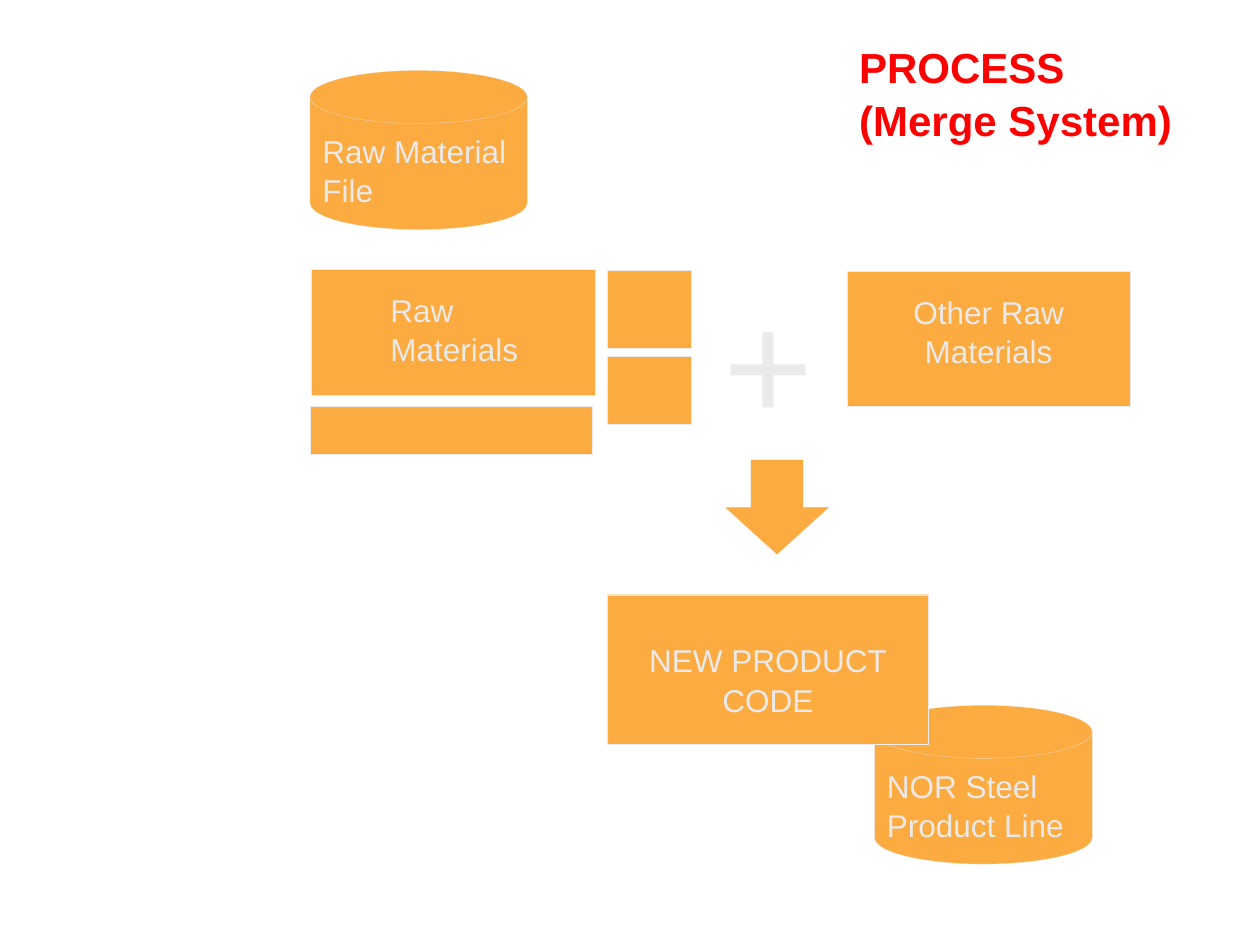
from dataclasses import dataclass

from pptx import Presentation
from pptx.dml.color import RGBColor
from pptx.enum.shapes import MSO_SHAPE
from pptx.enum.text import MSO_ANCHOR, MSO_AUTO_SIZE, PP_ALIGN
from pptx.util import Cm, Pt

DISK = MSO_SHAPE.FLOWCHART_MAGNETIC_DISK
PROCESS = MSO_SHAPE.FLOWCHART_PROCESS
RECTANGLE = MSO_SHAPE.RECTANGLE
DOWN_ARROW = MSO_SHAPE.DOWN_ARROW
LEFT, CENTER = PP_ALIGN.LEFT, PP_ALIGN.CENTER
TITLE_ONLY = 5


@dataclass(frozen=True)
class Theme:
    orange: RGBColor = RGBColor(0xFC, 0xAB, 0x40)
    pale: RGBColor = RGBColor(0xEA, 0xEA, 0xEA)
    red: RGBColor = RGBColor(0xFF, 0x00, 0x00)
    font: str = "Arial"
    title_size: int = 24
    body_size: int = 18
    plus_size: int = 88
    outline: float = 0.11
    line_spacing: float = 1.05


THEME = Theme()


def write_text(shape, lines, size=THEME.body_size, color=THEME.pale,
               align=LEFT, bold=False, top_inset=0.13):
    """Fill a shape with top-anchored paragraphs of one style."""
    frame = shape.text_frame
    frame.word_wrap = True
    frame.auto_size = MSO_AUTO_SIZE.NONE
    frame.vertical_anchor = MSO_ANCHOR.TOP
    frame.margin_left = frame.margin_right = Cm(0.25)
    frame.margin_top, frame.margin_bottom = Cm(top_inset), Cm(0.13)
    frame.text = "\n".join(lines)
    for paragraph in frame.paragraphs:
        paragraph.alignment = align
        paragraph.line_spacing = THEME.line_spacing
        paragraph.space_before = Pt(0)
        font = paragraph.font
        font.name, font.size, font.bold = THEME.font, Pt(size), bold
        font.color.rgb = color


def add_title(slide, lines, left, top, width, height):
    title = slide.shapes.title
    title.left, title.top = Cm(left), Cm(top)
    title.width, title.height = Cm(width), Cm(height)
    write_text(title, lines, THEME.title_size, THEME.red, bold=True)


def add_block(slide, kind, left, top, width, height, text=None, **style):
    """Add an orange shape with a hairline outline and an optional label."""
    shape = slide.shapes.add_shape(kind, Cm(left), Cm(top), Cm(width), Cm(height))
    shape.shadow.inherit = False
    shape.fill.solid()
    shape.fill.fore_color.rgb = THEME.orange
    shape.line.color.rgb = THEME.pale
    shape.line.width = Pt(THEME.outline)
    if text:
        write_text(shape, [text], **style)


def add_label(slide, text, left, top, width, height, **style):
    box = slide.shapes.add_textbox(Cm(left), Cm(top), Cm(width), Cm(height))
    write_text(box, [text], **style)


def main():
    presentation = Presentation()
    presentation.slide_width, presentation.slide_height = Cm(25.4), Cm(19.05)
    slide = presentation.slides.add_slide(presentation.slide_layouts[TITLE_ONLY])

    add_title(slide, ["PROCESS", "(Merge System)"], 17.07, 0.66, 7.67, 2.29)

    # Source file and its raw materials
    add_block(slide, DISK, 6.25, 1.42, 4.38, 3.21, "Raw Material File")
    add_block(slide, PROCESS, 6.28, 5.42, 5.72, 2.55)
    add_label(slide, "Raw Materials", 7.62, 5.69, 4.24, 1.78)
    add_block(slide, PROCESS, 6.25, 8.18, 5.69, 0.98)
    add_block(slide, PROCESS, 12.24, 5.45, 1.7, 1.57)
    add_block(slide, PROCESS, 12.24, 7.17, 1.7, 1.39)

    # Merge with the other materials
    add_label(slide, "+", 14.33, 5.08, 2.11, 3.99, size=THEME.plus_size)
    add_block(slide, PROCESS, 17.07, 5.46, 5.72, 2.72, "Other Raw Materials",
              align=CENTER, top_inset=0.4)
    add_block(slide, DOWN_ARROW, 14.61, 9.27, 2.11, 1.91)

    # Resulting product, in front of the product line file
    add_block(slide, DISK, 17.63, 14.22, 4.39, 3.2, "NOR Steel Product Line")
    add_block(slide, RECTANGLE, 12.24, 11.99, 6.48, 3.02, "NEW PRODUCT CODE",
              align=CENTER, top_inset=0.9)

    presentation.save("out.pptx")


if __name__ == "__main__":
    main()
